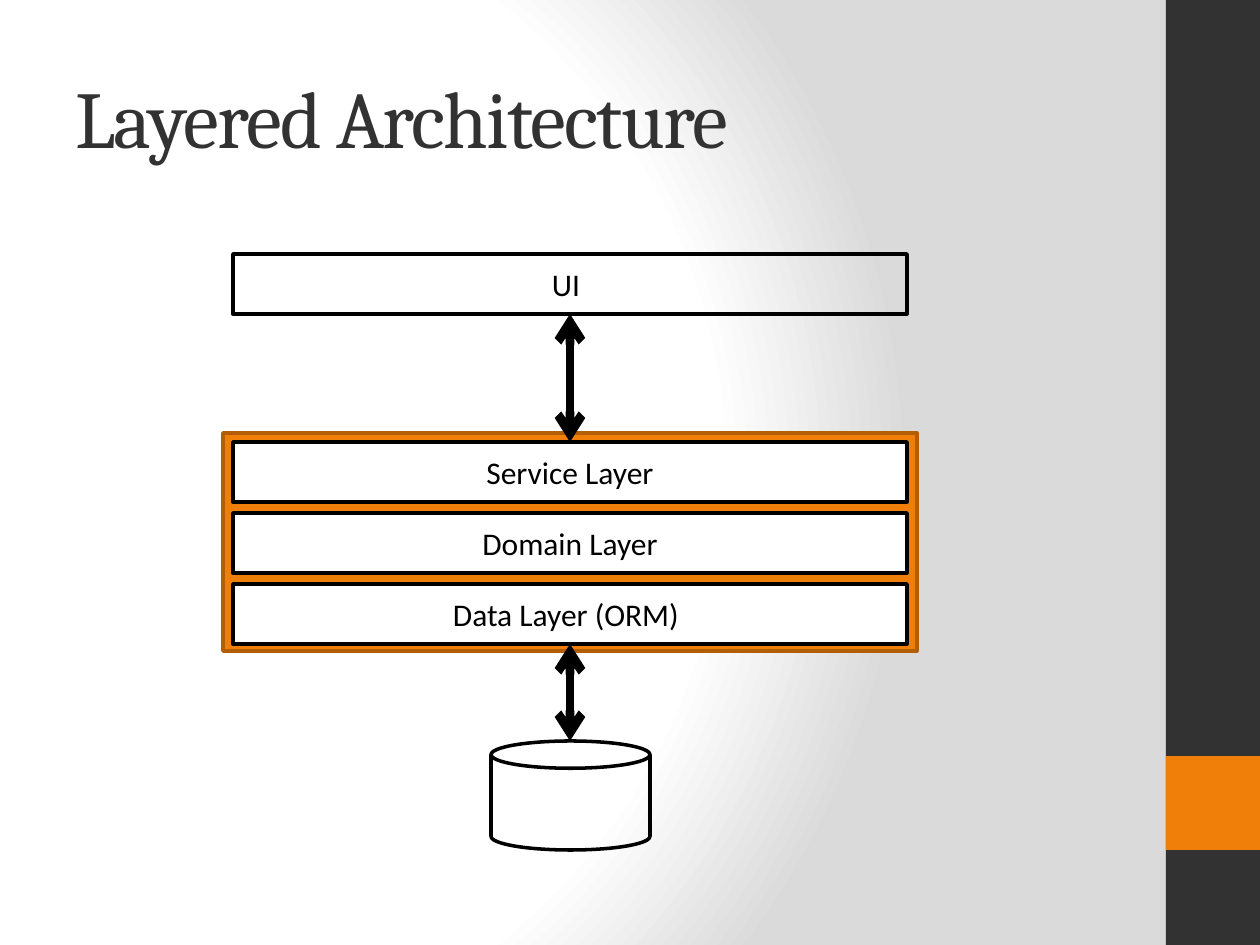
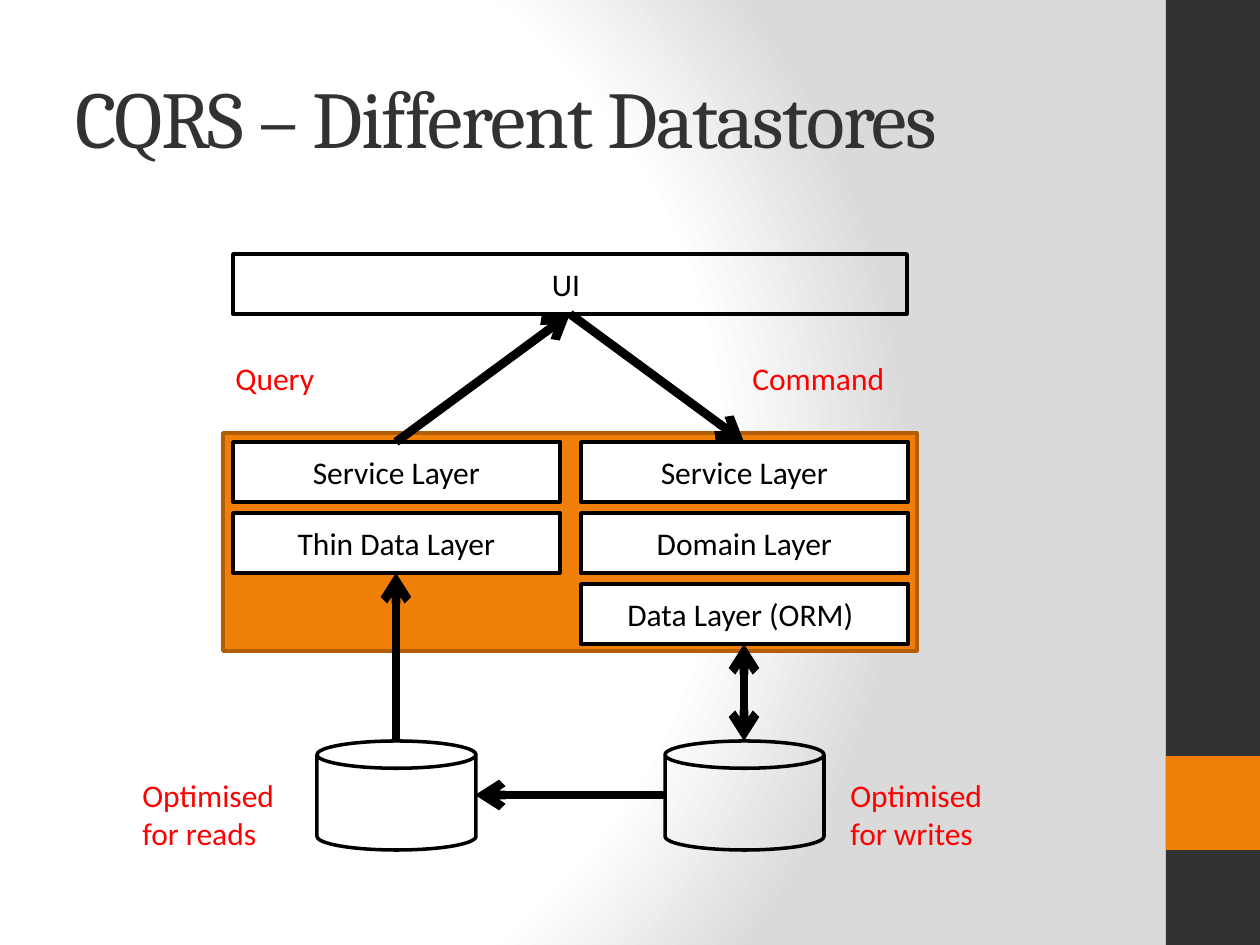
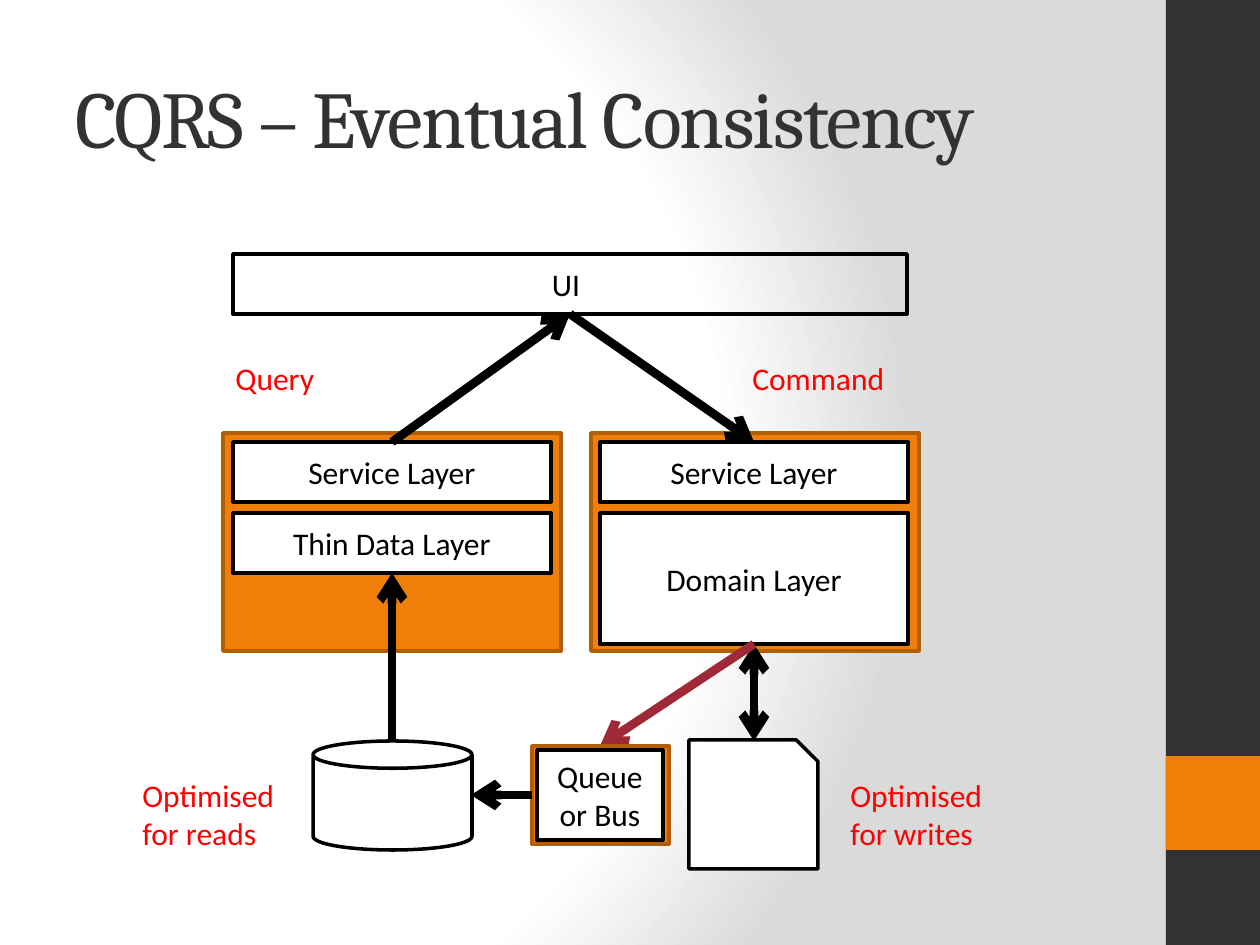
from pptx import Presentation
from pptx.dml.color import RGBColor
from pptx.enum.shapes import MSO_CONNECTOR, MSO_SHAPE
from pptx.enum.text import MSO_ANCHOR, PP_ALIGN
from pptx.oxml import parse_xml
from pptx.oxml.ns import nsdecls
from pptx.oxml.xmlchemy import OxmlElement
from pptx.util import Emu, Pt

RECTANGLE = MSO_SHAPE.RECTANGLE
CYLINDER = MSO_SHAPE.CAN
DOCUMENT = MSO_SHAPE.SNIP_1_RECTANGLE
STRAIGHT = MSO_CONNECTOR.STRAIGHT
LEFT, CENTER = PP_ALIGN.LEFT, PP_ALIGN.CENTER
TOP, MIDDLE = MSO_ANCHOR.TOP, MSO_ANCHOR.MIDDLE

BLACK = RGBColor(0x00, 0x00, 0x00)
WHITE = RGBColor(0xFF, 0xFF, 0xFF)
CHARCOAL = RGBColor(0x32, 0x32, 0x32)
ORANGE = RGBColor(0xF0, 0x7F, 0x09)
BROWN = RGBColor(0xB2, 0x5E, 0x07)
RED = RGBColor(0xFF, 0x00, 0x00)
CRIMSON = RGBColor(0x9F, 0x29, 0x36)

# Layout in px, 126 to the inch
PX_PER_INCH = 126
WIDTH, HEIGHT = 1260, 945
BAND_LEFT, BAND_WIDTH = 1166, 94
BOX_LEFT, BOX_WIDTH, BOX_HEIGHT = 233, 674, 60
UI_TOP, UI_BOTTOM = 254, 314
LAYER_TOP, LAYER_PITCH = 442, 71
LAYER_BOTTOM = LAYER_TOP + 2 * LAYER_PITCH + BOX_HEIGHT
PANEL_LEFT, PANEL_TOP, PANEL_WIDTH, PANEL_HEIGHT = 223, 433, 694, 218
STORE_TOP, STORE_WIDTH, STORE_HEIGHT = 741, 159, 109
STORE_MIDDLE = STORE_TOP + STORE_HEIGHT // 2
CENTER_X = BOX_LEFT + BOX_WIDTH // 2

BACKGROUND = f"""<a:gradFill {nsdecls('a')} rotWithShape="1">
  <a:gsLst>
    <a:gs pos="0"><a:srgbClr val="FFFFFF"/></a:gs>
    <a:gs pos="75000"><a:srgbClr val="FFFFFF"/></a:gs>
    <a:gs pos="100000"><a:srgbClr val="DADADA"/></a:gs>
  </a:gsLst>
  <a:path path="circle">
    <a:fillToRect l="20000" t="50000" r="100000" b="50000"/>
  </a:path>
</a:gradFill>"""


def px(length):
    return Emu(round(length * 914400 / PX_PER_INCH))


def write(shape, text, *, size=18, font="Calibri", color=BLACK, align=CENTER,
          anchor=MIDDLE, spacing=0, nudge=0):
    """Fill a shape with text; nudge moves centred text to the left."""
    frame = shape.text_frame
    frame.word_wrap = True
    frame.vertical_anchor = anchor
    frame.margin_right += px(2 * nudge)
    paragraph = frame.paragraphs[0]
    paragraph.alignment = align
    run = paragraph.add_run()
    run.text = text
    run.font.size = Pt(size)
    run.font.name = font
    run.font.color.rgb = color
    if spacing:
        run.font._element.set("spc", str(spacing * 100))


class Deck:
    def __init__(self):
        self.presentation = Presentation()
        self.presentation.slide_width = px(WIDTH)
        self.presentation.slide_height = px(HEIGHT)
        background = self.presentation.slide_master.element.cSld.get_or_add_bgPr()
        background.replace(background[0], parse_xml(BACKGROUND))
        self.slide = None

    def start(self, title):
        """Add a slide with the side bands, the title and the UI box."""
        layout = self.presentation.slide_layouts[6]
        self.slide = self.presentation.slides.add_slide(layout)
        self.shape(BAND_LEFT, 0, BAND_WIDTH, HEIGHT, fill=CHARCOAL, line=None)
        self.shape(BAND_LEFT, 756, BAND_WIDTH, BAND_WIDTH, fill=ORANGE, line=None)
        self.text(title, 63, 38, 1050, 157, size=46, font="Cambria",
                  color=CHARCOAL, anchor=MIDDLE, spacing=-1)
        ui = self.shape(BOX_LEFT, UI_TOP, BOX_WIDTH, BOX_HEIGHT)
        write(ui, "UI", nudge=4)

    def shape(self, left, top, width, height, kind=RECTANGLE, fill=None, line=BLACK):
        shape = self.slide.shapes.add_shape(
            kind, px(left), px(top), px(width), px(height))
        shape.shadow.inherit = False
        if fill is None:
            shape.fill.background()
        else:
            shape.fill.solid()
            shape.fill.fore_color.rgb = fill
        if line is None:
            shape.line.fill.background()
        else:
            shape.line.color.rgb = line
            shape.line.width = Pt(2)
        return shape

    def text(self, text, left, top, width, height, **style):
        box = self.slide.shapes.add_textbox(px(left), px(top), px(width), px(height))
        write(box, text, **{"align": LEFT, "anchor": TOP, **style})

    def panel(self, left=PANEL_LEFT, width=PANEL_WIDTH, top=PANEL_TOP,
              height=PANEL_HEIGHT):
        self.shape(left, top, width, height, fill=ORANGE, line=BROWN)

    def box(self, text, left, top, width, height=BOX_HEIGHT, **style):
        write(self.shape(left, top, width, height, fill=WHITE), text, **style)

    def layers(self, names, left, width):
        for row, name in enumerate(names):
            self.box(name, left, LAYER_TOP + row * LAYER_PITCH, width,
                     nudge=4 if name.endswith("(ORM)") else 0)

    def store(self, center):
        self.shape(center - STORE_WIDTH // 2, STORE_TOP, STORE_WIDTH, STORE_HEIGHT,
                   kind=CYLINDER)

    def arrow(self, start, end, both=False, color=BLACK):
        connector = self.slide.shapes.add_connector(
            STRAIGHT, *(px(value) for value in (*start, *end)))
        connector.line.color.rgb = color
        connector.line.width = Pt(5)
        line = connector.line._get_or_add_ln()
        for tag in ("a:headEnd", "a:tailEnd") if both else ("a:tailEnd",):
            tip = OxmlElement(tag)
            tip.set("type", "arrow")
            line.append(tip)
        connector._element.spPr.append(OxmlElement("a:effectLst"))

    def query_and_command(self, read_x, write_x):
        """Add the arrows and red labels of the read and write sides."""
        self.arrow((read_x, LAYER_TOP), (CENTER_X, UI_BOTTOM))
        self.arrow((CENTER_X, UI_BOTTOM), (write_x, LAYER_TOP))
        self.arrow((read_x, STORE_TOP), (read_x, LAYER_TOP + LAYER_PITCH + BOX_HEIGHT))
        self.arrow((write_x, LAYER_BOTTOM), (write_x, STORE_TOP), both=True)
        self.store(read_x)
        for label, left, top, height in (
                ("Command", 740, 353, 50), ("Query", PANEL_LEFT, 353, 50),
                ("Optimised for writes", 838, 770, 89),
                ("Optimised for reads", 130, 770, 89)):
            self.text(label, left, top, 177, height, color=RED)


def layered_architecture(deck):
    deck.start("Layered Architecture")
    deck.panel()
    deck.layers(("Service Layer", "Domain Layer", "Data Layer (ORM)"),
                BOX_LEFT, BOX_WIDTH)
    deck.store(CENTER_X)
    deck.arrow((CENTER_X, UI_BOTTOM), (CENTER_X, LAYER_TOP), both=True)
    deck.arrow((CENTER_X, LAYER_BOTTOM), (CENTER_X, STORE_TOP), both=True)


def different_datastores(deck):
    width, write_left = 327, 581
    read_x, write_x = BOX_LEFT + width // 2, write_left + width // 2
    deck.start("CQRS – Different Datastores")
    deck.panel()
    deck.layers(("Service Layer", "Domain Layer", "Data Layer (ORM)"),
                write_left, width)
    deck.layers(("Service Layer", "Thin Data Layer"), BOX_LEFT, width)
    deck.query_and_command(read_x, write_x)
    deck.store(write_x)
    deck.arrow((write_x - STORE_WIDTH // 2, STORE_MIDDLE),
               (read_x + STORE_WIDTH // 2, STORE_MIDDLE))


def eventual_consistency(deck):
    read_width, write_left, write_width = 318, 600, 308
    read_x, write_x = BOX_LEFT + read_width // 2, write_left + write_width // 2
    queue_left, queue_top = 532, 746
    deck.start("CQRS – Eventual Consistency")
    deck.panel(width=338)
    deck.panel(left=591, width=328)
    deck.layers(("Service Layer",), write_left, write_width)
    domain_top = LAYER_TOP + LAYER_PITCH
    deck.box("Domain Layer", write_left, domain_top, write_width,
             LAYER_BOTTOM - domain_top)
    deck.layers(("Service Layer", "Thin Data Layer"), BOX_LEFT, read_width)
    deck.query_and_command(read_x, write_x)
    # Queue between the write side and the read store
    deck.arrow((write_x, LAYER_BOTTOM), (600, queue_top), color=CRIMSON)
    deck.shape(689, 740, 129, 129, kind=DOCUMENT, fill=WHITE)
    deck.panel(queue_left, 137, queue_top, 98)
    deck.arrow((queue_left, STORE_MIDDLE), (read_x + STORE_WIDTH // 2, STORE_MIDDLE))
    deck.box("Queue or Bus", queue_left + 5, queue_top + 4, 126, 90)


def main():
    deck = Deck()
    layered_architecture(deck)
    different_datastores(deck)
    eventual_consistency(deck)
    deck.presentation.save("out.pptx")


if __name__ == "__main__":
    main()
